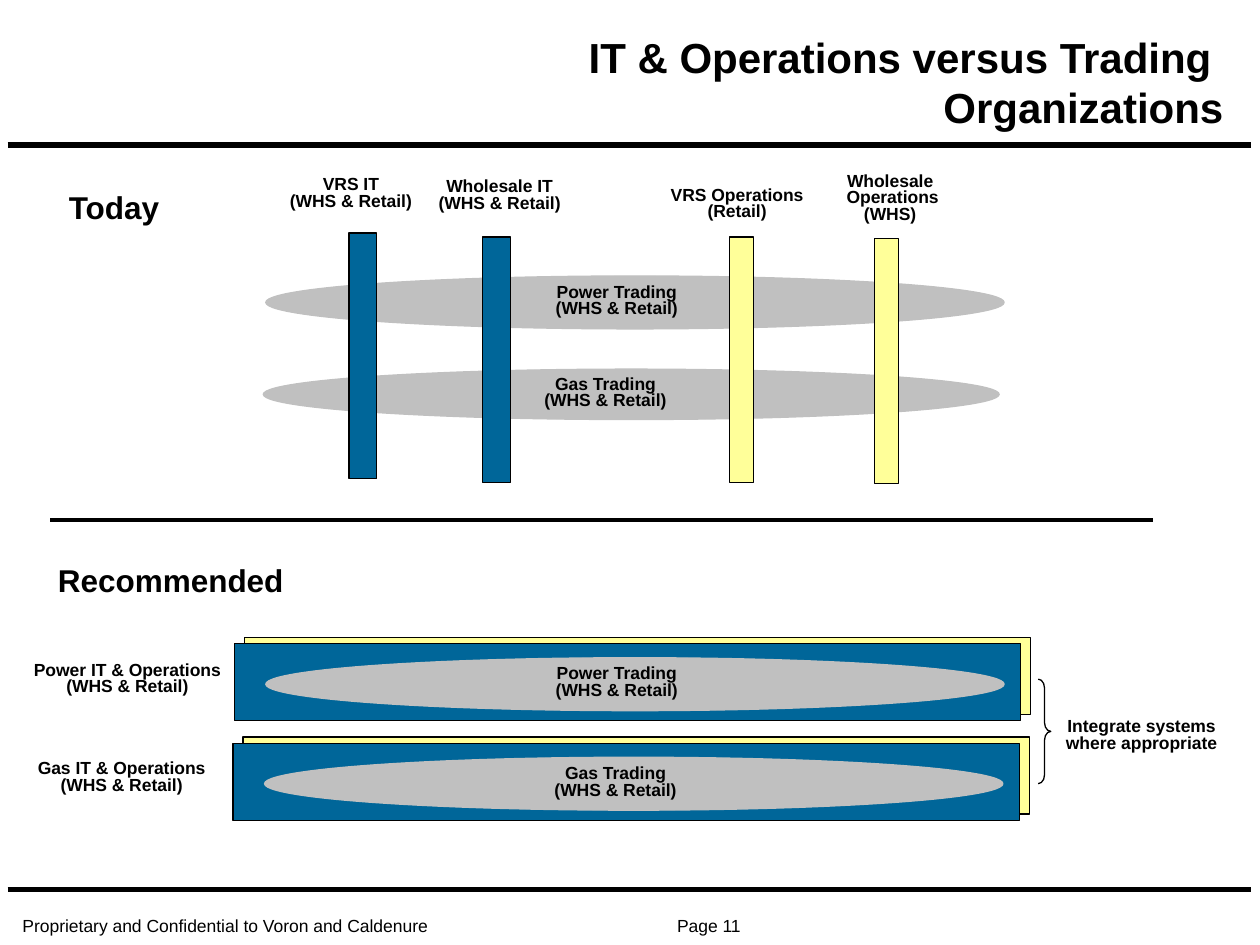
"""Build the slide comparing today's and recommended IT, operations and trading organizations."""
from lxml import etree
from pptx import Presentation
from pptx import util as u
from pptx.dml.color import RGBColor
from pptx.enum import shapes, text
from pptx.oxml.ns import qn

BLACK, GREY, BLUE, YELLOW = "000000", "C0C0C0", "006699", "FFFF99"
RECT, OVAL = shapes.MSO_SHAPE.RECTANGLE, shapes.MSO_SHAPE.OVAL
WHS_RETAIL = "(WHS & Retail)"

prs = Presentation()
prs.slide_width, prs.slide_height = u.Inches(10), u.Inches(7.5)
col, row = prs.slide_width / 100, prs.slide_height / 75
s = prs.slides.add_slide(prs.slide_layouts[5])


def add_block(kind, x, y, w, h, fill, line=BLACK):
    sp = s.shapes.add_shape(kind, int(x * col), int(y * row), int(w * col), int(h * row))
    sp.shadow.inherit = False
    sp.line.color.rgb = RGBColor.from_string(line)
    sp.line.width = u.Pt(0.75)
    if fill:
        sp.fill.solid()
        sp.fill.fore_color.rgb = RGBColor.from_string(fill)
    else:
        sp.fill.background()
    return sp


def add_label(words, x, y, w, h, size=10, bold=True, align=text.PP_ALIGN.CENTER):
    sp = s.shapes.add_textbox(int(x * col), int(y * row), int(w * col), int(h * row))
    tf = sp.text_frame
    tf.word_wrap = False
    tf.auto_size = text.MSO_AUTO_SIZE.SHAPE_TO_FIT_TEXT
    tf.text = words
    for p in tf.paragraphs:
        p.alignment = align
        p.line_spacing = 0.8
        for r in p.runs:
            r.font.name, r.font.size, r.font.bold = "Arial", u.Pt(size), bold
            r.font.color.rgb = RGBColor.from_string(BLACK)
    return sp


title = s.shapes.title
title.left, title.top = int(13.3 * col), int(3.9 * row)
title.width, title.height = int(84.8 * col), int(7.1 * row)
tf = title.text_frame
tf.text = "IT & Operations versus Trading \vOrganizations"
tf.word_wrap = True
tf.auto_size = text.MSO_AUTO_SIZE.NONE
tf.vertical_anchor = text.MSO_ANCHOR.BOTTOM
p = tf.paragraphs[0]
p.alignment = text.PP_ALIGN.RIGHT
for r in p.runs:
    r.font.name, r.font.size, r.font.bold = "Arial", u.Pt(24), True
    r.font.color.rgb = RGBColor.from_string(BLACK)

for x1, x2, y, weight in [(0.6, 99.3, 11.5, 3), (4, 91.5, 41.3, 2.25), (0.6, 99.3, 70.6, 3)]:
    rule = s.shapes.add_connector(shapes.MSO_CONNECTOR.STRAIGHT, int(x1 * col), int(y * row),
                                  int(x2 * col), int(y * row))
    rule.line.color.rgb = RGBColor.from_string(BLACK)
    rule.line.width = u.Pt(weight)
    etree.SubElement(rule._element.spPr, qn("a:effectLst"))

add_label("Today", 4.4, 15, 9.3, 3.4, size=18)
add_label("Recommended", 3.6, 44.6, 19.9, 3.4, size=18)

for name, x, y, w, h, label_x, label_y in [
    ("Power Trading", 21.1, 21.9, 58.6, 4.2, 43.1, 22.1),
    ("Gas Trading", 20.9, 29.3, 58.4, 4, 42.2, 29.4),
]:
    add_block(OVAL, x, y, w, h, GREY, GREY)
    add_label(f"{name}\n{WHS_RETAIL}", label_x, label_y, 11.7, 3.7)

for x, y, w, fill in [(27.7, 18.5, 2.2, BLUE), (38.3, 18.8, 2.2, BLUE),
                      (57.9, 18.8, 1.9, YELLOW), (69.4, 18.9, 1.9, YELLOW)]:
    add_block(RECT, x, y, w, 19.5, fill)

for words, x, y, w, h in [
    (f"VRS IT\n{WHS_RETAIL}", 22, 13.6, 11.7, 3.7),
    (f"Wholesale IT\n{WHS_RETAIL}", 33.8, 13.7, 11.7, 3.7),
    ("VRS Operations\n(Retail)", 52, 14.4, 13, 3.7),
    ("Wholesale\n Operations\n(WHS)", 65.8, 13.3, 9.7, 5),
    (f"Power IT & Operations\n{WHS_RETAIL}", 1.5, 52.1, 17.2, 3.7),
    (f"Gas IT & Operations\n{WHS_RETAIL}", 2, 59.9, 15.3, 3.7),
    ("Integrate systems\nwhere appropriate", 83.6, 56.6, 14, 3.7),
]:
    add_label(words, x, y, w, h)

for name, x, y in [("Power Trading", 18.6, 51.1), ("Gas Trading", 18.5, 59)]:
    add_block(RECT, x + 0.8, y - 0.5, 62.4, 6.1, YELLOW)
    add_block(RECT, x, y, 62.4, 6.1, BLUE)
    add_block(OVAL, x + 2.5, y + 1.1, 58.6, 4.2, GREY, GREY)
    add_label(f"{name}\n{WHS_RETAIL}", x + 24.5, y + 1.3, 11.7, 3.7)

brace = add_block(shapes.MSO_SHAPE.RIGHT_BRACE, 82.4, 53.9, 1, 8.3, None)
brace.adjustments[0] = 0.7

footer = add_label("Proprietary and Confidential to Voron and Caldenure\tPage 11",
                   0.8, 72.5, 60.8, 2.3, bold=False, align=text.PP_ALIGN.LEFT)
footer.text_frame.word_wrap = True
footer.text_frame.vertical_anchor = text.MSO_ANCHOR.BOTTOM
tabs = etree.SubElement(footer.text_frame.paragraphs[0]._p.get_or_add_pPr(), qn("a:tabLst"))
etree.SubElement(tabs, qn("a:tab"), pos=str(int(57 * col)), algn="r")

prs.save("out.pptx")
